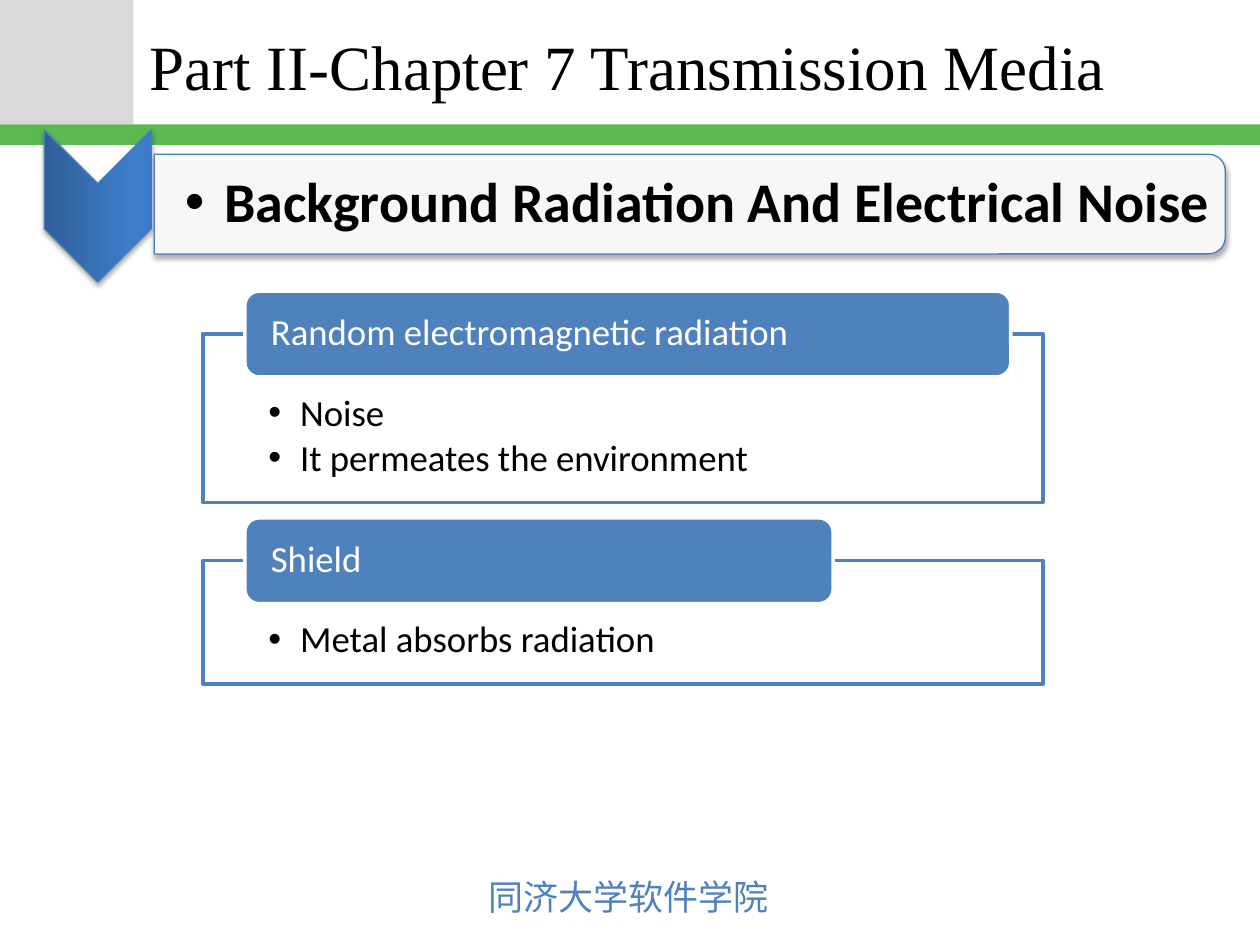
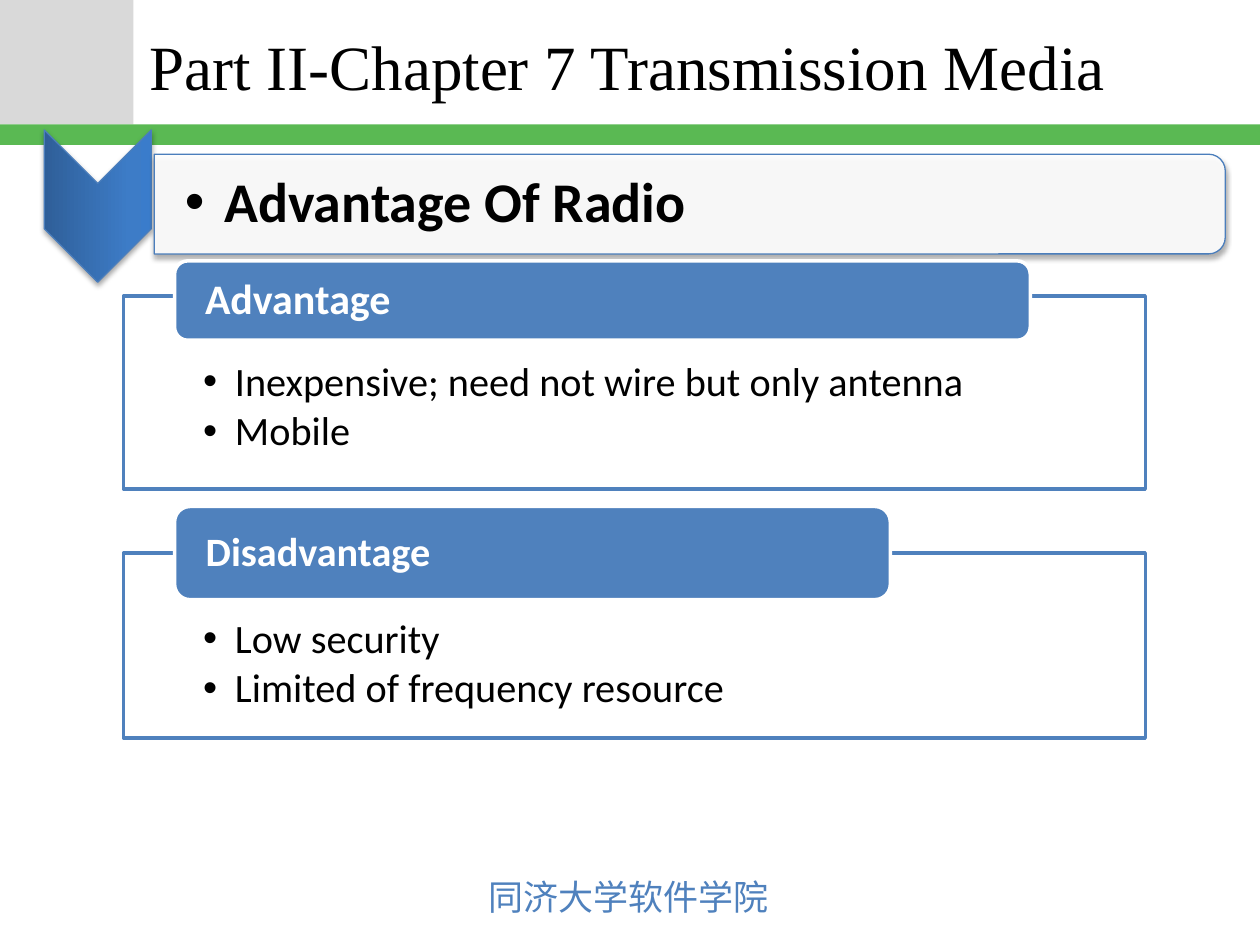
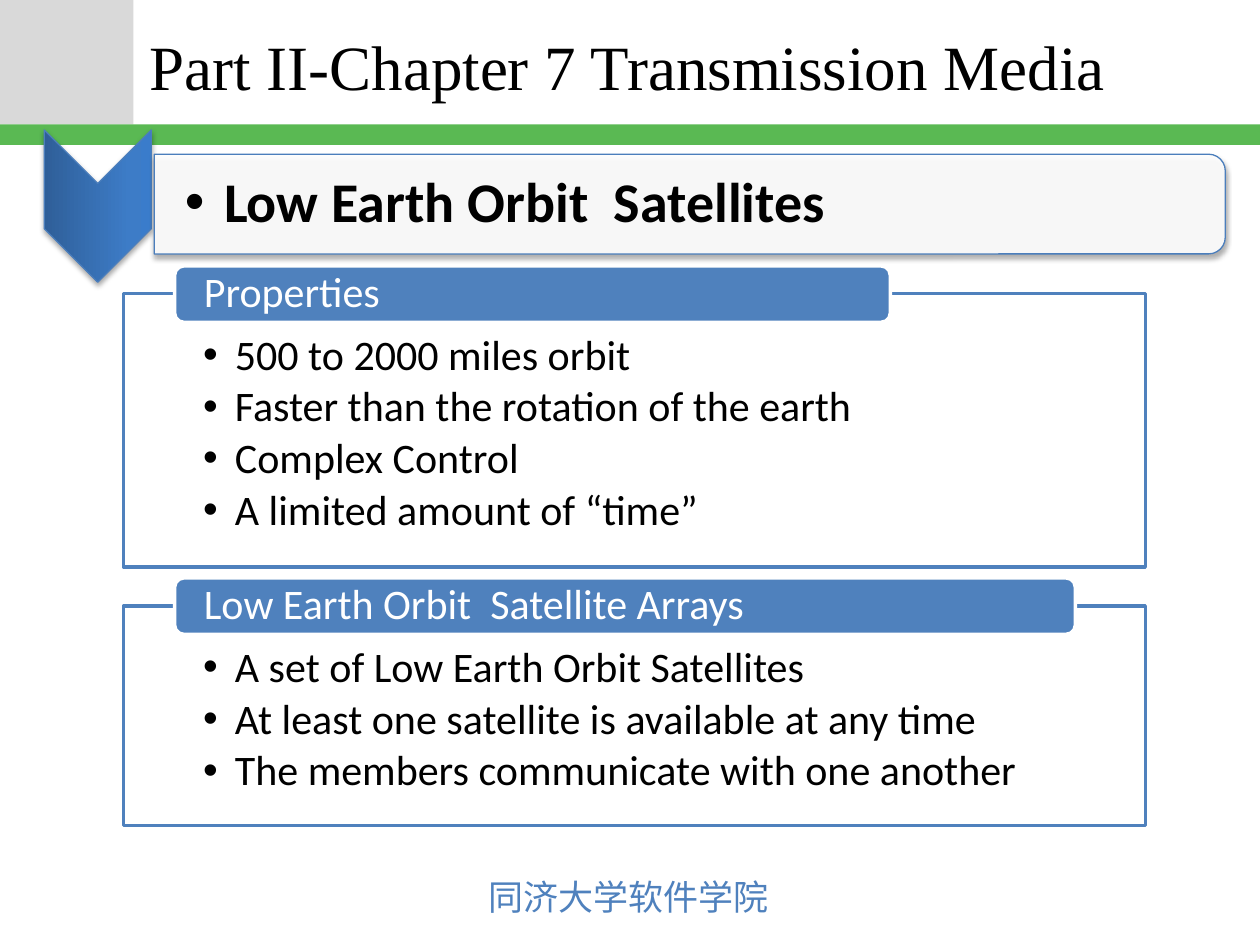
from dataclasses import dataclass

from lxml.etree import SubElement
from pptx import Presentation
from pptx.dml.color import RGBColor as RGB
from pptx.enum.shapes import MSO_SHAPE as Form
from pptx.enum.text import MSO_ANCHOR as Anchor, PP_ALIGN as Align
from pptx.oxml.ns import qn
from pptx.util import Cm, Pt


@dataclass(frozen=True)
class Theme:
    blue: str = "4F81BD"
    edge: str = "4B7EBC"
    green: str = "5AB953"
    grey: str = "D9D9D9"
    black: str = "000000"
    white: str = "FFFFFF"
    fade: tuple = ((0, "2F5F99"), (80, "3D7CC7"), (100, "3A7CCB"))
    body: str = "Calibri"
    serif: str = "Times New Roman"
    hanzi: str = "Noto Sans CJK JP"
    title: int = 36
    head: int = 32
    foot: int = 20


@dataclass(frozen=True)
class Panel:
    """One framed list; the tab rises above the frame's top edge."""
    top: float
    high: float
    rise: float
    tab: tuple
    label: str
    items: tuple
    size: int
    bold: bool = False


@dataclass(frozen=True)
class Page:
    head: str
    left: float
    wide: float
    inset: float
    size: int
    panels: tuple


T = Theme()
WIDE, HIGH = 25.4, 19.05
TITLE = "Part II-Chapter 7 Transmission Media"
SCHOOL = "同济大学软件学院"

PAGES = (
    Page("Background Radiation And Electrical Noise", 4.09, 16.94, 1.22, 21, (
        Panel(6.73, 3.4, 0.86, (15.44, 1.73), "Random electromagnetic radiation",
              ("Noise", "It permeates the environment"), 21),
        Panel(11.3, 2.49, 0.86, (11.86, 1.73), "Shield",
              ("Metal absorbs radiation",), 21),
    )),
    Page("Advantage Of Radio", 2.49, 20.6, 1.32, 23, (
        Panel(5.97, 3.89, 0.71, (17.25, 1.6), "Advantage",
              ("Inexpensive; need not wire but only antenna", "Mobile"), 24, True),
        Panel(11.15, 3.73, 0.94, (14.43, 1.88), "Disadvantage",
              ("Low security", "Limited of frequency resource"), 23, True),
    )),
    Page("Low Earth Orbit  Satellites", 2.49, 20.6, 0.81, 24, (
        Panel(5.92, 5.51, 0.56, (14.43, 1.14), "Properties",
              ("500 to 2000 miles orbit", "Faster than the rotation of the earth",
               "Complex Control", "A limited amount of “time”"), 24),
        Panel(12.22, 4.42, 0.57, (18.16, 1.14), "Low Earth Orbit  Satellite Arrays",
              ("A set of Low Earth Orbit Satellites",
               "At least one satellite is available at any time",
               "The members communicate with one another"), 24),
    )),
)


def add_form(slide, form, box, fill, line=None, width=2, alpha=None):
    shape = slide.shapes.add_shape(form, *map(Cm, box))
    shape.shadow.inherit = False
    shape.fill.solid()
    shape.fill.fore_color.rgb = RGB.from_string(fill)
    if alpha:
        tint = shape.element.spPr.find(f"{qn('a:solidFill')}/{qn('a:srgbClr')}")
        SubElement(tint, qn("a:alpha"), val=str(alpha * 1000))
    if line:
        shape.line.color.rgb = RGB.from_string(line)
        shape.line.width = Pt(width)
    else:
        shape.line.fill.background()
    return shape


def add_turned(slide, form, box, fill, alpha=None):
    """Fill the box with a shadowed form turned by a quarter."""
    x, y, w, h = box
    flat = (x + (w - h) / 2, y + (h - w) / 2, h, w)
    shape = add_form(slide, form, flat, fill, T.edge, 0.75, alpha)
    shape.rotation = 90
    glow = SubElement(shape.element.spPr.find(qn("a:effectLst")), qn("a:outerShdw"),
                      blurRad=str(Pt(3.1)), dist=str(Pt(1.8)),
                      dir="5400000", rotWithShape="0")
    tint = SubElement(glow, qn("a:srgbClr"), val=T.black)
    SubElement(tint, qn("a:alpha"), val="35000")
    return shape


def set_fade(shape, stops):
    shape.fill.gradient()
    shape.fill.gradient_angle = 90
    held = shape.element.spPr.find(f"{qn('a:gradFill')}/{qn('a:gsLst')}")
    held.clear()
    for place, tone in stops:
        stop = SubElement(held, qn("a:gs"), pos=str(place * 1000))
        SubElement(stop, qn("a:srgbClr"), val=tone)


def set_text(shape, lines, font, size, color, bold=False, inset=None,
             anchor=Anchor.TOP, after=0, hang=0, wrap=True):
    """Write the lines; after is a percentage, hang the bullet indent in cm."""
    frame = shape.text_frame
    frame.text = "\n".join(lines)
    frame.word_wrap = wrap
    frame.vertical_anchor = anchor
    if inset:
        (frame.margin_left, frame.margin_top,
         frame.margin_right, frame.margin_bottom) = map(Cm, inset)
    for para in frame.paragraphs:
        para.alignment = Align.LEFT
        props = para._p.get_or_add_pPr()
        if after:
            para.line_spacing = 0.9
            space = SubElement(props, qn("a:spcAft"))
            SubElement(space, qn("a:spcPct"), val=str(after * 1000))
        if hang:
            props.set("marL", str(Cm(hang)))
            props.set("indent", str(-Cm(hang)))
            SubElement(props, qn("a:buFont"), typeface="Arial")
            SubElement(props, qn("a:buChar"), char="•")
        for run in para.runs:
            run.font.name = font
            run.font.size = Pt(size)
            run.font.bold = bold
            run.font.color.rgb = RGB.from_string(color)
            SubElement(run._r.rPr, qn("a:ea"), typeface=font)


def add_text(slide, box, *args, **rest):
    set_text(slide.shapes.add_textbox(*map(Cm, box)), *args, **rest)


def draw_base(slide):
    """Corner block, band, school name and title, as on every slide."""
    side, top = 2.69, 2.51
    add_form(slide, Form.RECTANGLE, (0, 0, side, top), T.grey)
    add_form(slide, Form.RECTANGLE, (0, top, WIDE, 0.41), T.green)
    add_text(slide, (9.6, 17.53, 6.22, 1.12), [SCHOOL], T.hanzi, T.foot, T.blue,
             wrap=False)
    add_text(slide, (2.77, 0.08, 20.93, 2.49), [TITLE], T.serif, T.title, T.black,
             anchor=Anchor.MIDDLE)


def draw_head(slide, text, box):
    x, y, w, h = box
    mark = add_turned(slide, Form.CHEVRON, (x, y, 2.16, h), T.blue)
    set_fade(mark, T.fade)
    bar = (x + 2.22, y + 0.49, w - 2.22, 2.01)
    add_turned(slide, Form.ROUND_2_SAME_RECTANGLE, bar, T.white, 90)
    add_text(slide, bar, [text], T.body, T.head, T.black, True,
             (0.62, 0.05, 0.05, 0.05), Anchor.MIDDLE, after=15, hang=0.79)


def draw_panel(slide, panel, page):
    x, w = page.left, page.wide
    side = w * 0.078
    frame = add_form(slide, Form.RECTANGLE, (x, panel.top, w, panel.high),
                     T.white, T.blue, alpha=90)
    set_text(frame, panel.items, T.body, page.size, T.black,
             inset=(side, page.inset, side, 0.4), after=15, hang=0.64)
    tab = add_form(slide, Form.ROUNDED_RECTANGLE,
                   (x + w / 20, panel.top - panel.rise, *panel.tab), T.blue, T.white)
    pad = w * 0.026
    set_text(tab, [panel.label], T.body, panel.size, T.white, panel.bold,
             (pad, 0, pad, 0), Anchor.MIDDLE, after=35)


def main():
    deck = Presentation()
    deck.slide_width, deck.slide_height = Cm(WIDE), Cm(HIGH)
    for page in PAGES:
        slide = deck.slides.add_slide(deck.slide_layouts[6])
        draw_base(slide)
        draw_head(slide, page.head, (0.89, 2.62, 23.81, 3.07))
        for panel in page.panels:
            draw_panel(slide, panel, page)
    deck.save("out.pptx")


if __name__ == "__main__":
    main()
